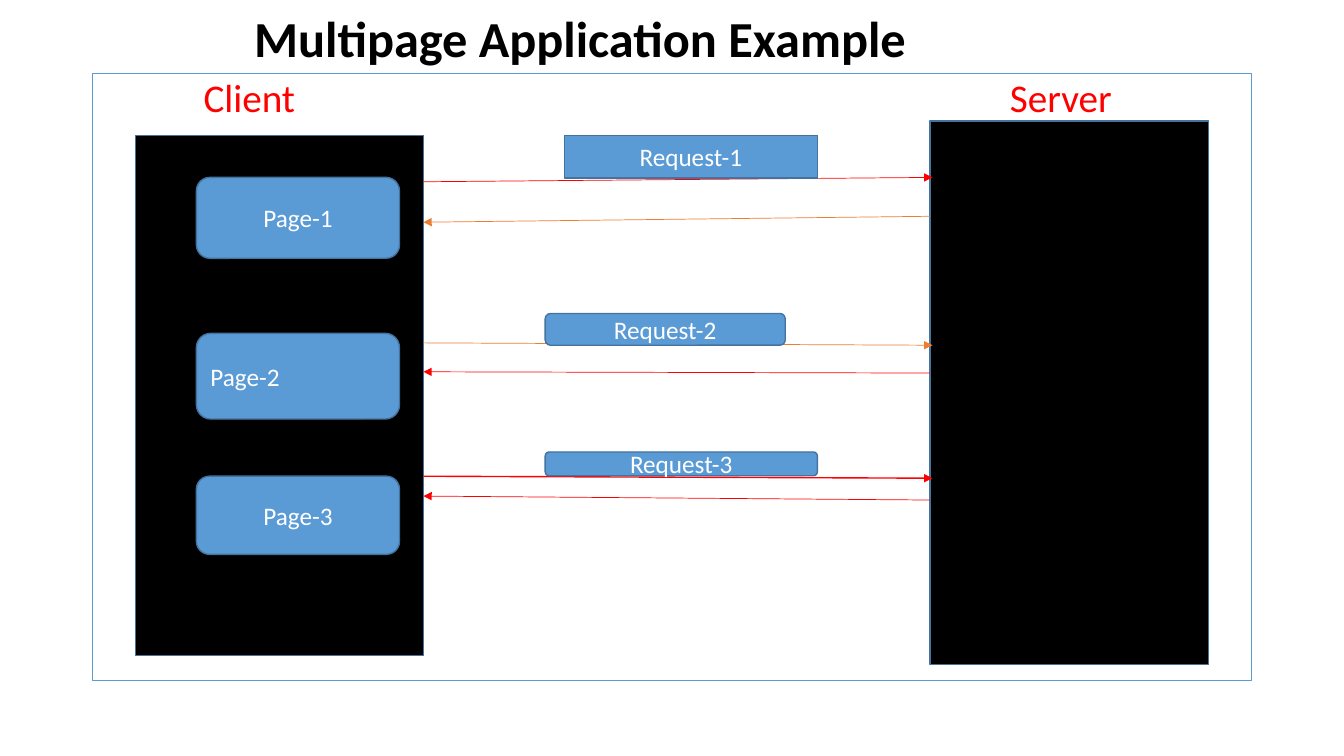
from pptx import Presentation, util as u
from pptx.dml.color import RGBColor
from pptx.enum import shapes, text
from pptx.oxml.ns import qn
from lxml import etree

BLACK, WHITE, RED, ORANGE = "000000", "FFFFFF", "FF0000", "ED7D31"
BLUE, DARK_BLUE = "5B9BD5", "43739E"
RECT = shapes.MSO_SHAPE.RECTANGLE
ROUNDED = shapes.MSO_SHAPE.ROUNDED_RECTANGLE
LEFT, CENTER = text.PP_ALIGN.LEFT, text.PP_ALIGN.CENTER
TOP, MIDDLE = text.MSO_ANCHOR.TOP, text.MSO_ANCHOR.MIDDLE

# Ends of the arrows, in cm
CLIENT_EDGE, SERVER_EDGE, SERVER_TIP = 10.67, 23.44, 23.5


def rgb(color):
    return RGBColor.from_string(color)


def write(shape, words, size, color, align=CENTER, anchor=MIDDLE, bold=False):
    frame = shape.text_frame
    frame.word_wrap = True
    frame.auto_size = text.MSO_AUTO_SIZE.NONE
    frame.vertical_anchor = anchor
    paragraph = frame.paragraphs[0]
    paragraph.alignment = align
    run = paragraph.add_run()
    run.text = words
    run.font.name, run.font.size, run.font.bold = "Calibri", u.Pt(size), bold
    run.font.color.rgb = rgb(color)
    return paragraph


def add_box(slide, kind, left, top, width, height, fill=None,
            outline=DARK_BLUE, weight=1):
    box = slide.shapes.add_shape(kind, *map(u.Cm, (left, top, width, height)))
    box.shadow.inherit = False
    if fill:
        box.fill.solid()
        box.fill.fore_color.rgb = rgb(fill)
    else:
        box.fill.background()
    box.line.color.rgb = rgb(outline)
    box.line.width = u.Pt(weight)
    return box


def add_arrow(slide, x1, y1, x2, y2, color, weight=0.5):
    arrow = slide.shapes.add_connector(
        shapes.MSO_CONNECTOR.STRAIGHT, *map(u.Cm, (x1, y1, x2, y2)))
    arrow.line.color.rgb = rgb(color)
    arrow.line.width = u.Pt(weight)
    etree.SubElement(arrow.line._get_or_add_ln(), qn("a:tailEnd"), type="triangle")
    etree.SubElement(arrow._element.spPr, qn("a:effectLst"))


def add_title(slide, words):
    title = slide.shapes.title
    title.left, title.top, title.width, title.height = map(
        u.Cm, (2.34, 0.25, 28.91, 1.6))
    heading = write(title, words, 36, BLACK, LEFT, bold=True)
    heading.line_spacing = 0.9
    heading._p.get_or_add_pPr().set("marL", str(u.Cm(3.81)))


def add_frame(slide):
    frame = add_box(slide, RECT, 2.34, 1.85, 29.21, 15.29, outline=BLUE, weight=0.75)
    headings = write(frame, "\tClient\tServer", 28, RED, LEFT, TOP)
    headings.line_spacing = 0.9
    tabs = etree.SubElement(headings._p.get_or_add_pPr(), qn("a:tabLst"))
    for stop in (2.54, 22.86):
        etree.SubElement(tabs, qn("a:tab"), pos=str(u.Cm(stop)), algn="l")


def main():
    deck = Presentation()
    deck.slide_width, deck.slide_height = u.Cm(33.87), u.Cm(19.05)
    slide = deck.slides.add_slide(deck.slide_layouts[5])
    add_title(slide, "Multipage Application Example")
    add_frame(slide)

    # Client and server
    add_box(slide, RECT, 3.42, 3.42, 7.26, 13.1, BLACK)
    add_box(slide, RECT, 23.44, 3.05, 7.02, 13.7, BLACK)

    # Each exchange: request start and end, colour, weight; reply the same
    exchanges = [
        ((4.58, 4.47, RED, 0.5), (5.45, 5.6, ORANGE, 0.5)),
        ((8.64, 8.7, ORANGE, 0.5), (9.4, 9.37, RED, 0.5)),
        ((12, 12.05, RED, 1), (12.6, 12.5, RED, 0.5)),
    ]
    for request, reply in exchanges:
        start, end, *style = request
        add_arrow(slide, CLIENT_EDGE, start, SERVER_TIP, end, *style)
        start, end, *style = reply
        add_arrow(slide, SERVER_EDGE, start, CLIENT_EDGE, end, *style)

    # Pages: top, height, alignment
    pages = [(4.47, 2.04, CENTER), (8.4, 2.16, LEFT), (12, 1.97, CENTER)]
    for number, (top, height, align) in enumerate(pages, 1):
        page = add_box(slide, ROUNDED, 4.95, top, 5.12, height, BLUE)
        write(page, f"Page-{number}", 18, WHITE, align)

    # Request labels: outline, left, top, width, height
    requests = [(RECT, 14.22, 3.42, 6.38, 1.07),
                (ROUNDED, 13.74, 7.9, 6.05, 0.8),
                (ROUNDED, 13.74, 11.39, 6.86, 0.6)]
    for number, place in enumerate(requests, 1):
        label = add_box(slide, *place, BLUE)
        write(label, f"Request-{number}", 18, WHITE)

    deck.save("out.pptx")


main()
